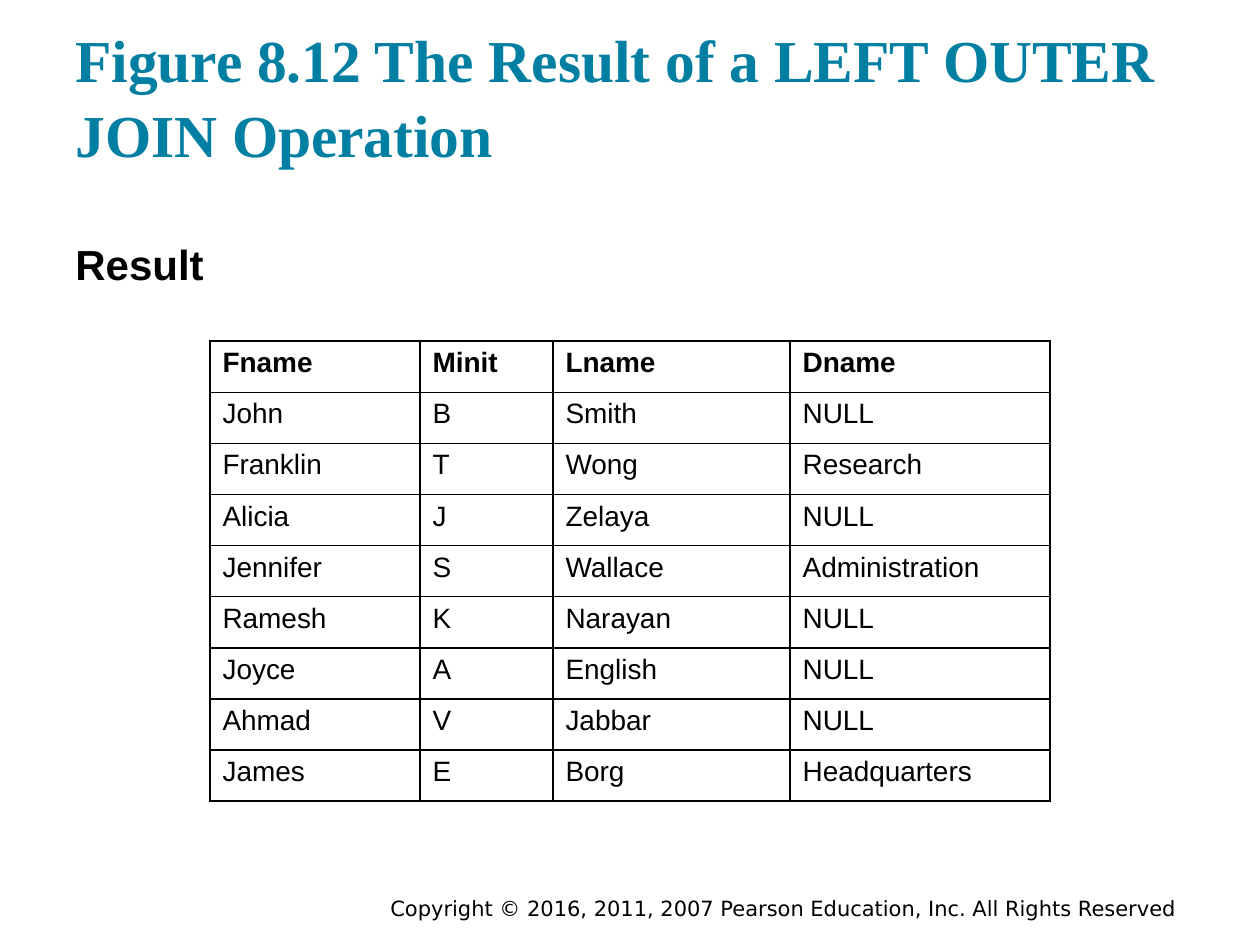
from lxml import etree
from pptx import Presentation
from pptx import util as u
from pptx.dml.color import RGBColor
from pptx.enum import text
from pptx.oxml import ns

COLORS = {"title": "007FA3", "ink": "000000"}
RESULT = [
    ("Fname", "Minit", "Lname", "Dname"),
    ("John", "B", "Smith", "NULL"),
    ("Franklin", "T", "Wong", "Research"),
    ("Alicia", "J", "Zelaya", "NULL"),
    ("Jennifer", "S", "Wallace", "Administration"),
    ("Ramesh", "K", "Narayan", "NULL"),
    ("Joyce", "A", "English", "NULL"),
    ("Ahmad", "V", "Jabbar", "NULL"),
    ("James", "E", "Borg", "Headquarters"),
]


class SlideBuilder:
    def __init__(self, page):
        self.page = page

    def style(self, para, size, font="Arial", color="ink", bold=False):
        for span in para.runs:
            span.font.name = font
            span.font.size = u.Pt(size)
            span.font.bold = bold
            span.font.color.rgb = RGBColor.from_string(COLORS[color])

    def text(self, content, bounds, size, anchor=text.MSO_ANCHOR.TOP,
             inset=3.6, spacing=None, **look):
        box = self.page.shapes.add_textbox(*map(u.Pt, bounds))
        frame = box.text_frame
        frame.word_wrap = True
        frame.auto_size = text.MSO_AUTO_SIZE.NONE
        frame.vertical_anchor = anchor
        frame.margin_top = frame.margin_bottom = u.Pt(inset)
        frame.text = content
        para = frame.paragraphs[0]
        para.line_spacing = spacing
        self.style(para, size, **look)

    def border(self, cell):
        properties = cell._tc.get_or_add_tcPr()
        for side in ("lnL", "lnR", "lnT", "lnB"):
            line = etree.SubElement(properties, ns.qn(f"a:{side}"), w=str(u.Pt(1)))
            fill = etree.SubElement(line, ns.qn("a:solidFill"))
            etree.SubElement(fill, ns.qn("a:srgbClr"), val=COLORS["ink"])

    def table(self, rows, left, top, widths, row_height, size):
        frame = self.page.shapes.add_table(
            len(rows), len(widths), u.Pt(left), u.Pt(top),
            u.Pt(sum(widths)), u.Pt(row_height * len(rows)))
        grid = frame.table
        for column, width in zip(grid.columns, widths):
            column.width = u.Pt(width)
        for r, values in enumerate(rows):
            grid.rows[r].height = u.Pt(row_height)
            for c, value in enumerate(values):
                cell = grid.cell(r, c)
                self.border(cell)
                cell.fill.background()
                cell.text = value
                self.style(cell.text_frame.paragraphs[0], size, bold=r == 0)


def main():
    deck = Presentation()
    deck.slide_width, deck.slide_height = u.Pt(720), u.Pt(540)
    builder = SlideBuilder(deck.slides.add_slide(deck.slide_layouts[6]))

    # Footer
    builder.text("Copyright © 2016, 2011, 2007 Pearson Education, Inc. All Rights Reserved",
                 (216, 510, 479, 18), 12, text.MSO_ANCHOR.MIDDLE, font="DejaVu Sans")

    # Title and table heading
    builder.text("Figure 8.12 The Result of a LEFT OUTER JOIN Operation",
                 (36, 17.5, 648, 86.4), 34, text.MSO_ANCHOR.BOTTOM, inset=7.2,
                 spacing=1.05, font="Times New Roman", color="title", bold=True)
    builder.text("Result", (36, 126, 648, 37.5), 24, inset=10.5, bold=True)

    # Join result
    builder.table(RESULT, 120, 195, (120, 76, 135.5, 148.5), 29.2, 16)

    deck.save("out.pptx")


if __name__ == "__main__":
    main()
